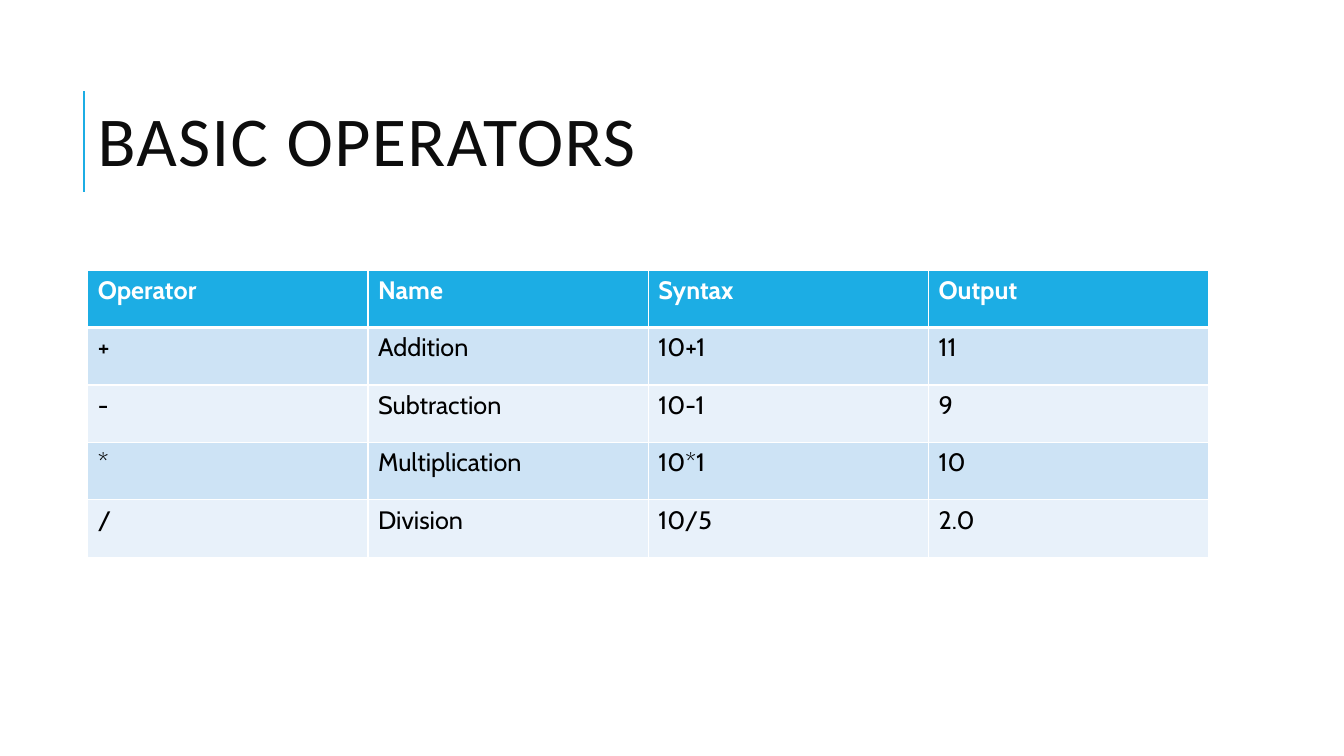
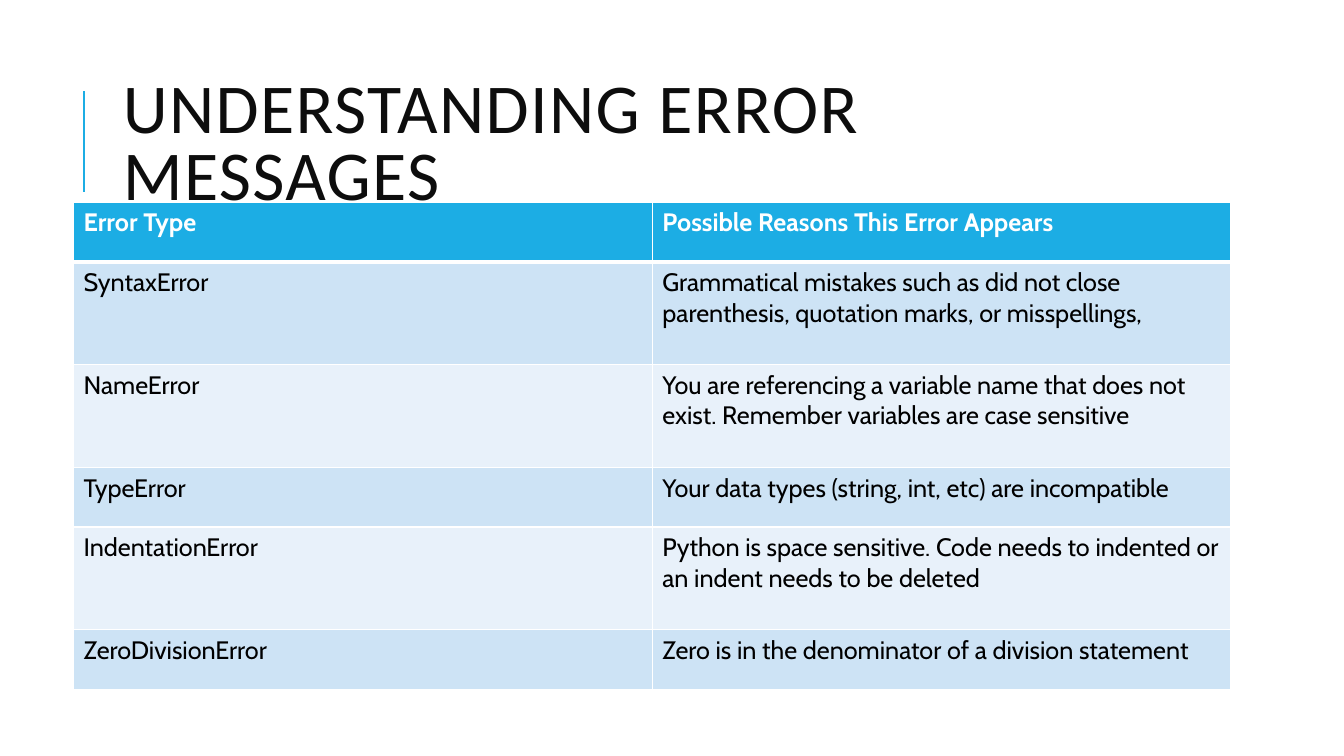
from lxml.etree import SubElement
from pptx import Presentation
from pptx.dml.color import RGBColor
from pptx.enum.shapes import MSO_CONNECTOR as Connector
from pptx.enum.text import MSO_ANCHOR as Anchor
from pptx.oxml.ns import qn
from pptx.util import Emu, Pt

ACCENT, WHITE, BLACK = "1CADE4", "FFFFFF", "000000"
TITLE_COLOR = "0D0D0D"
BANDS = ("CDE3F5", "E8F1FA")
TITLE_FONT, BODY_FONT = "Calibri", "Cabin"

OPERATORS = [
    ("Operator", "Name", "Syntax", "Output"),
    ("+", "Addition", "10+1", "11"),
    ("-", "Subtraction", "10-1", "9"),
    ("*", "Multiplication", "10*1", "10"),
    ("/", "Division", "10/5", "2.0"),
]
ERRORS = [
    ("Error Type", "Possible Reasons This Error Appears"),
    ("SyntaxError", "Grammatical mistakes such as did not close parenthesis, "
                    "quotation marks, or misspellings,"),
    ("NameError", "You are referencing a variable name that does not exist. "
                  "Remember variables are case sensitive"),
    ("TypeError", "Your data types (string, int, etc) are incompatible"),
    ("IndentationError", "Python is space sensitive. Code needs to indented or "
                         "an indent needs to be deleted"),
    ("ZeroDivisionError", "Zero is in the denominator of a division statement"),
]


def px(length):
    """Turn px, 100 to the inch, into EMU."""
    return Emu(length * 9144)


def color(value):
    return RGBColor.from_string(value)


def format_run(run, font_name, size, font_color, bold=False):
    font = run.font
    font.name, font.size, font.bold = font_name, Pt(size), bold
    font.color.rgb = color(font_color)


def add_title_rule(slide):
    rule = slide.shapes.add_connector(
        Connector.STRAIGHT, px(83), px(190), px(83), px(90))
    rule.line.color.rgb = color(ACCENT)
    rule.line.width = Pt(1.5)
    SubElement(rule._element.spPr, qn("a:effectLst"))


def add_title(slide, text, box):
    frame = slide.shapes.add_textbox(*map(px, box)).text_frame
    frame.word_wrap = True
    frame.vertical_anchor = Anchor.MIDDLE
    frame.text = text
    paragraph = frame.paragraphs[0]
    paragraph.line_spacing = 0.8
    run = paragraph.runs[0]
    format_run(run, TITLE_FONT, 50, TITLE_COLOR)
    run.font._element.set("spc", "100")


def set_borders(cell, top, bottom):
    """Draw white borders; top and bottom widths are in points."""
    properties = cell._tc.get_or_add_tcPr()
    for side, width in (("L", 1), ("R", 1), ("T", top), ("B", bottom)):
        line = SubElement(properties, qn(f"a:ln{side}"), w=str(Pt(width)))
        fill = SubElement(line, qn("a:solidFill"))
        SubElement(fill, qn("a:srgbClr"), val=WHITE)


def add_banded_table(slide, rows, left, top, column_width, row_heights):
    column_count = len(rows[0])
    table = slide.shapes.add_table(
        len(rows), column_count, px(left), px(top),
        px(column_width * column_count), px(sum(row_heights))).table
    for column in table.columns:
        column.width = px(column_width)
    for index, (texts, height) in enumerate(zip(rows, row_heights)):
        table.rows[index].height = px(height)
        header = index == 0
        for cell, text in zip(table.rows[index].cells, texts):
            # The header and the first row share one thick edge.
            set_borders(cell, top=3 if index == 1 else 1, bottom=3 if header else 1)
            cell.fill.solid()
            cell.fill.fore_color.rgb = color(ACCENT if header else BANDS[(index - 1) % 2])
            cell.text_frame.text = text
            format_run(cell.text_frame.paragraphs[0].runs[0], BODY_FONT, 18,
                       WHITE if header else BLACK, bold=header)


def add_titled_slide(presentation, title, title_box):
    slide = presentation.slides.add_slide(presentation.slide_layouts[6])
    add_title_rule(slide)
    add_title(slide, title, title_box)
    return slide


def main():
    presentation = Presentation()
    presentation.slide_width, presentation.slide_height = px(1333), px(750)

    slide = add_titled_slide(presentation, "BASIC OPERATORS", (87, 73, 940, 144))
    add_banded_table(slide, OPERATORS, 87, 268, 278, [57] * len(OPERATORS))

    slide = add_titled_slide(
        presentation, "UNDERSTANDING ERROR MESSAGES", (112, 64, 1063, 164))
    one_line, two_lines = 59, 102
    add_banded_table(slide, ERRORS, 73, 201, 574,
                     [one_line, two_lines, two_lines, one_line, two_lines, one_line])

    presentation.save("out.pptx")


if __name__ == "__main__":
    main()
